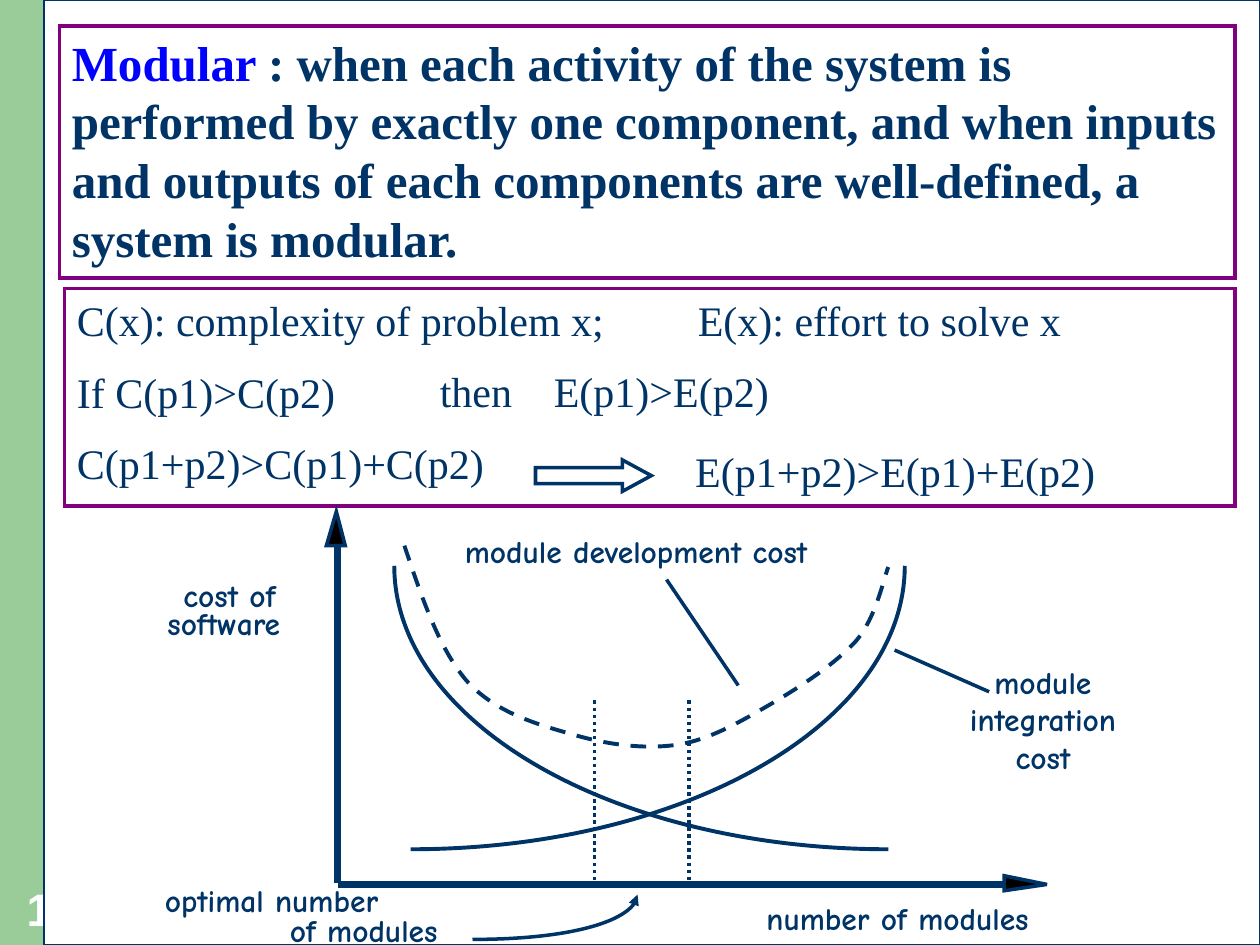
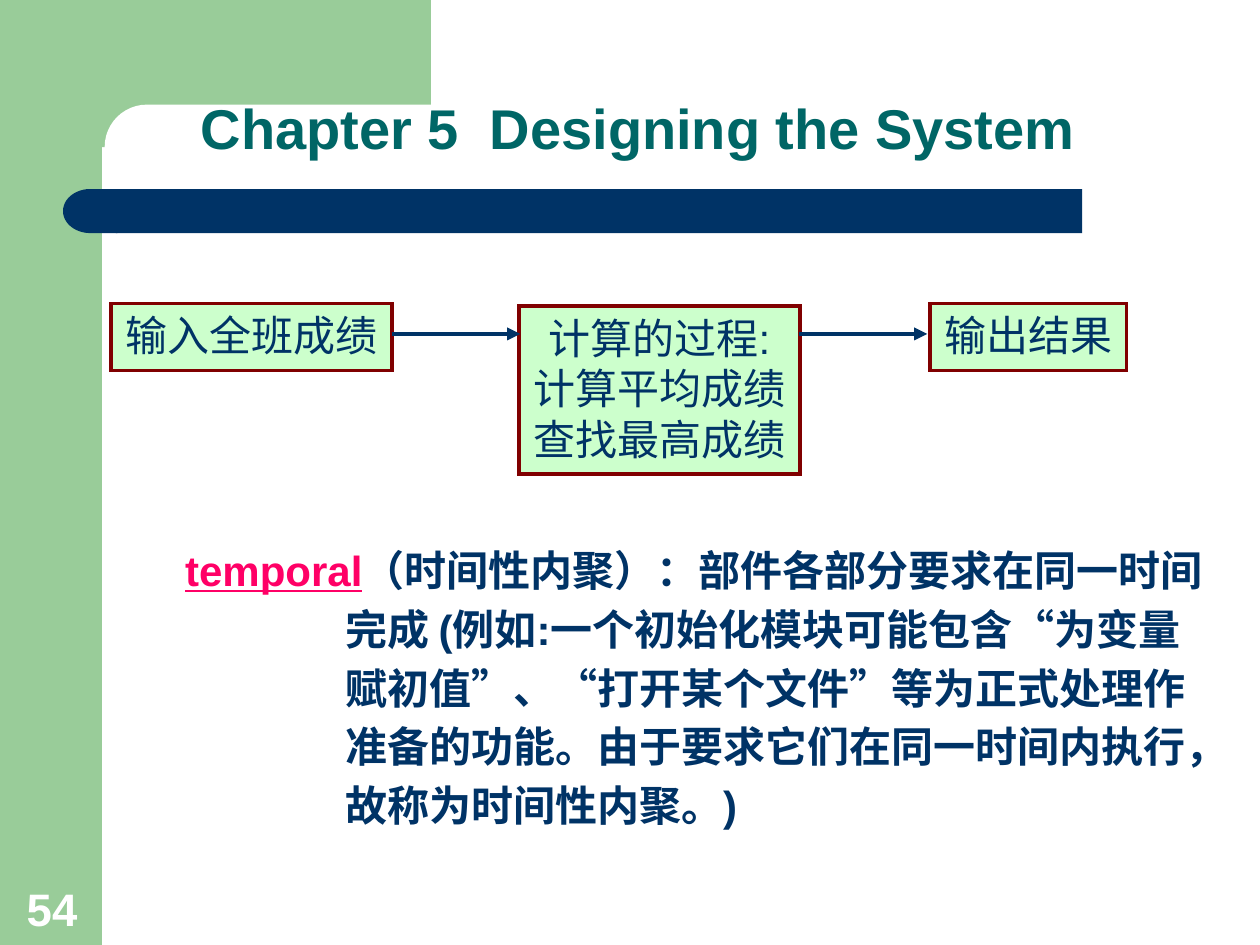
from dataclasses import dataclass
from itertools import groupby
from typing import Any, NamedTuple, Optional

from lxml import etree
from pptx import Presentation, util as u
from pptx.dml import color
from pptx.enum import dml, shapes, text
from pptx.oxml import ns

Pt = u.Pt
Point = tuple[float, float]
PRESET = shapes.MSO_SHAPE
ALIGN = text.PP_ALIGN

COLORS = {
    "white": "FFFFFF", "black": "000000", "navy": "003366", "green": "99CC99",
    "mint": "CCFFCC", "maroon": "800000", "purple": "800080",
    "teal": "006666", "blue": "0000FF", "pink": "FF0066",
}

# Font formats; "ink" is a key of COLORS, the rest are font attributes
NUMBER = {"name": "Arial", "size": Pt(26), "bold": True, "ink": "white"}
TITLE = {"name": "Arial", "size": Pt(32), "bold": True, "ink": "teal"}
DEFINITION = {"name": "Times New Roman", "size": Pt(28), "bold": True, "ink": "navy"}
FORMULA = {"name": "Times New Roman", "size": Pt(24), "ink": "navy"}
LABEL = {"name": "Comic Neue", "size": Pt(18), "bold": True, "ink": "navy"}
STEP = {"name": "Arial", "size": Pt(24), "ink": "navy"}
BODY = STEP | {"bold": True}
TERM = BODY | {"ink": "pink", "underline": True}


class Area(NamedTuple):
    left: float
    top: float
    width: float
    height: float

    def lengths(self) -> list[int]:
        return [Pt(value) for value in self]


class Stroke(NamedTuple):
    ink: str = "navy"
    width: float = 2
    dash: Any = None
    arrow: bool = False


class Run(NamedTuple):
    text: str
    format: dict


@dataclass
class Paragraph:
    runs: list[Run]
    space_before: float = 0
    align: Any = ALIGN.LEFT
    margin: float = 0
    indent: float = 0
    line_spacing: Optional[float] = None


@dataclass
class Box:
    area: Area
    paragraphs: list[Paragraph]


@dataclass
class Line:
    start: Point
    end: Point
    stroke: Stroke = Stroke()


@dataclass
class Curve:
    """A start point followed by three points for each Bezier segment."""
    points: list[Point]
    stroke: Stroke


def rgb(name: str) -> color.RGBColor:
    return color.RGBColor.from_string(COLORS[name])


def plain(lines: list[str], font_format: dict, **options: Any) -> list[Paragraph]:
    return [Paragraph([Run(line, font_format)], **options) for line in lines]


# Text
def apply_format(font: Any, font_format: dict) -> None:
    for name, value in font_format.items():
        if name == "ink":
            font.color.rgb = rgb(value)
        else:
            setattr(font, name, value)


def write(shape: Any, paragraphs: list[Paragraph], wrap: bool = True,
          anchor: Any = text.MSO_ANCHOR.TOP) -> None:
    frame = shape.text_frame
    settings = {"word_wrap": wrap, "vertical_anchor": anchor,
                "auto_size": text.MSO_AUTO_SIZE.NONE}
    for name, value in settings.items():
        setattr(frame, name, value)
    for index, item in enumerate(paragraphs):
        paragraph = frame.add_paragraph() if index else frame.paragraphs[0]
        properties = paragraph._p.get_or_add_pPr()
        properties.set("marL", str(Pt(item.margin)))
        properties.set("indent", str(Pt(item.indent)))
        etree.SubElement(properties, ns.qn("a:buNone"))
        paragraph.alignment = item.align
        paragraph.space_before = Pt(item.space_before if index else 0)
        if item.line_spacing:
            paragraph.line_spacing = item.line_spacing
        for part in item.runs:
            run = paragraph.add_run()
            run.text = part.text
            apply_format(run.font, part.format)


def add_text(slide: Any, box: Box, **options: Any) -> None:
    write(slide.shapes.add_textbox(*box.area.lengths()), box.paragraphs, **options)


# Shapes and lines
def apply_stroke(shape: Any, stroke: Stroke) -> None:
    shape.line.color.rgb = rgb(stroke.ink)
    shape.line.width = Pt(stroke.width)
    if stroke.dash is not None:
        shape.line.dash_style = stroke.dash
    outline = shape.element.spPr.find(ns.qn("a:ln"))
    etree.SubElement(outline, ns.qn("a:miter"), lim="800000")
    if stroke.arrow:
        etree.SubElement(outline, ns.qn("a:tailEnd"), type="triangle")


def paint(shape: Any, fill: Optional[str], stroke: Optional[Stroke]) -> None:
    shape.shadow.inherit = False
    if fill:
        shape.fill.solid()
        shape.fill.fore_color.rgb = rgb(fill)
    else:
        shape.fill.background()
    if stroke:
        apply_stroke(shape, stroke)
    else:
        shape.line.fill.background()


def add_preset(slide: Any, area: Area, fill: Optional[str] = None,
               stroke: Optional[Stroke] = None, preset: Any = PRESET.RECTANGLE,
               adjustments: tuple[float, ...] = ()) -> Any:
    shape = slide.shapes.add_shape(preset, *area.lengths())
    for index, value in enumerate(adjustments):
        shape.adjustments[index] = value
    paint(shape, fill, stroke)
    return shape


def add_line(slide: Any, line: Line) -> None:
    ends = [Pt(value) for value in line.start + line.end]
    connector = slide.shapes.add_connector(shapes.MSO_CONNECTOR.STRAIGHT, *ends)
    apply_stroke(connector, line.stroke)
    etree.SubElement(connector.element.spPr, ns.qn("a:effectLst"))


def add_outline(slide: Any, points: list[Point], fill: Optional[str],
                stroke: Stroke, close: bool) -> Any:
    start, *rest = [(Pt(x), Pt(y)) for x, y in points]
    builder = slide.shapes.build_freeform(*start)
    builder.add_line_segments(rest, close=close)
    shape = builder.convert_to_shape()
    paint(shape, fill, stroke)
    return shape


def add_curve(slide: Any, curve: Curve) -> None:
    """Draw the control polygon, then join each three segments into a Bezier."""
    shape = add_outline(slide, curve.points, None, curve.stroke, close=False)
    segments = list(shape.element.iter(ns.qn("a:lnTo")))
    outline = segments[0].getparent()
    for first in range(0, len(segments), 3):
        bezier = etree.SubElement(outline, ns.qn("a:cubicBezTo"))
        for segment in segments[first:first + 3]:
            bezier.append(segment[0])
            outline.remove(segment)


# Shared side band, top tab and page number
def add_frame(slide: Any, number: str) -> None:
    for area in (Area(0, 0, 58.3, 540), Area(52.6, 0, 193.7, 84.2)):
        add_preset(slide, area, "green")
    add_text(slide, Box(Area(8.2, 499.7, 46, 38.2), plain([number], NUMBER)),
             anchor=text.MSO_ANCHOR.BOTTOM)


def add_header(slide: Any) -> None:
    add_preset(slide, Area(59.8, 59.8, 401.8, 48.2), "white",
               preset=PRESET.ROUNDED_RECTANGLE, adjustments=(0.5,))
    add_preset(slide, Area(66.2, 108, 552.2, 25.2), "navy")
    cap = add_preset(slide, Area(36, 108, 31, 25.2), "navy", preset=PRESET.FLOWCHART_DELAY)
    cap.rotation = 180


# Slide with the modularity definition and cost diagram
def build_modularity(presentation: Any) -> None:
    slide = presentation.slides.add_slide(presentation.slide_layouts[6])
    add_frame(slide, "14")
    add_preset(slide, Area(25.2, 0, 694.8, 540), "white", Stroke(width=0.75))

    definition = Paragraph([
        Run("Modular ", DEFINITION | {"ink": "blue"}),
        Run(": when each activity of the system is performed by exactly one component, "
            "and when inputs and outputs of each components are well-defined, "
            "a system is modular.", DEFINITION)])
    conditions = plain(["C(x): complexity of problem x;", "If C(p1)>C(p2)",
                        "C(p1+p2)>C(p1)+C(p2)"], FORMULA, space_before=12)
    for box in (Box(Area(34, 14.8, 671.8, 144), [definition]),
                Box(Area(36.9, 164.9, 668.9, 124.4), conditions)):
        write(add_preset(slide, box.area, stroke=Stroke("purple")), box.paragraphs)
    for formula, left, top, width in (
            ("E(x): effort to solve x", 391.7, 165, 264), ("then", 244.2, 205.5, 62),
            ("E(p1)>E(p2)", 309.4, 205.5, 180), ("E(p1+p2)>E(p1)+E(p2)", 390.2, 251.3, 264)):
        add_text(slide, Box(Area(left, top, width, 36), plain([formula], FORMULA)))
    add_preset(slide, Area(306, 262.8, 66.2, 18), stroke=Stroke(),
               preset=PRESET.RIGHT_ARROW, adjustments=(0.5, 0.92))

    # Axes, optimum limits and leader lines
    axis = Stroke(width=4)
    limit = Stroke(dash=dml.MSO_LINE.ROUND_DOT)
    lines = [Line((193, 505.4), (573, 505.4), axis), Line((193, 504.7), (193, 310.3), axis),
             Line((380.9, 331.2), (421.9, 391.7)), Line((565.2, 395.3), (511.2, 371.5))]
    lines += [Line((x, 400.3), (x, 502.6), limit) for x in (339.8, 393.8)]
    for line in lines:
        add_line(slide, line)
    for arrowhead in ([(598.3, 505.4), (573.8, 509), (573.8, 500.4)],
                      [(192.2, 292.3), (197.3, 311.8), (186.5, 311.8)]):
        add_outline(slide, arrowhead, "black", Stroke(), close=True)

    # Cost curves: the falling one mirrors the rising one
    rising = [(234.7, 485.3), (391, 485.3), (517, 413.3), (517, 323.3)]
    falling = [(742.3 - x, y) for x, y in rising]
    total = [(231.1, 311.8), (241.2, 342), (251.3, 371.5), (267.1, 389.5),
             (283.7, 407.5), (307.4, 414), (327.6, 419.8),
             (347, 425.5), (368.6, 428.4), (387.4, 425.5),
             (406.1, 422.6), (424.1, 411.8), (441.4, 401.8),
             (458.6, 391.7), (478.1, 378.7), (489.6, 365.8),
             (500.4, 352.8), (504.7, 331.9), (507.6, 324)]
    pointer = [(270, 536.8), (321.8, 536.8), (364.3, 525.6), (364.3, 511.2)]
    for curve in (Curve(rising, Stroke(width=2.25)), Curve(falling, Stroke(width=2.25)),
                  Curve(total, Stroke(width=2.25, dash=dml.MSO_LINE.DASH)),
                  Curve(pointer, Stroke(arrow=True))):
        add_curve(slide, curve)

    # Diagram labels
    for label, left, top, width in (
            ("cost of", 97.7, 325.8, 85), ("software", 88.6, 341.8, 95),
            ("module development cost", 258.6, 300.6, 238),
            ("number of modules", 430.9, 510, 178),
            ("optimal number", 87.1, 500, 146), ("of modules", 158.5, 517, 112)):
        add_text(slide, Box(Area(left, top, width, 28.8), plain([label], LABEL)))
    add_text(slide, Box(Area(542, 375.1, 108, 72),
                        plain(["module", "integration", "cost"], LABEL, align=ALIGN.CENTER)))


# Slide with temporal cohesion
def quoted_runs(line: str) -> list[Run]:
    """Set the curly quotes in the serif font."""
    return [Run("".join(group), BODY | {"name": "Times New Roman"} if is_quote else BODY)
            for is_quote, group in groupby(line, lambda letter: letter in "“”")]


def build_cohesion(presentation: Any) -> None:
    slide = presentation.slides.add_slide(presentation.slide_layouts[1])
    add_frame(slide, "54")
    add_header(slide)

    title, body = slide.shapes.title, slide.placeholders[1]
    for placeholder, area in ((title, Area(107.5, 29.7, 593, 66.2)),
                              (body, Area(98.6, 307.5, 618, 182))):
        for name, value in zip(Area._fields, area.lengths()):
            setattr(placeholder, name, value)
        placeholder.element.getparent().append(placeholder.element)
    write(title, plain(["Chapter 5  Designing the System"], TITLE, line_spacing=0.9),
          anchor=text.MSO_ANCHOR.BOTTOM)

    hang = 91.4
    lines = ["完成 (例如:一个初始化模块可能包含“为变量",
             "赋初值”、“打开某个文件”等为正式处理作",
             "准备的功能。由于要求它们在同一时间内执行，",
             "故称为时间性内聚。)"]
    opening = [Run("temporal", TERM), Run("（时间性内聚）：部件各部分要求在同一时间", BODY)]
    write(body, [Paragraph(opening, margin=hang, indent=-hang)] + [
        Paragraph(quoted_runs(line), margin=hang, space_before=4.8) for line in lines])

    # Process steps and the arrows between them
    for area, step in ((Area(63.4, 173.5, 160.6, 38.2), ["输入全班成绩"]),
                       (Area(296.6, 175, 160.6, 95.8),
                        ["计算的过程:", "计算平均成绩", "查找最高成绩"]),
                       (Area(531.4, 173.5, 112.3, 38.2), ["输出结果"])):
        write(add_preset(slide, area, "mint", Stroke("maroon")),
              plain(step, STEP, align=ALIGN.CENTER), wrap=False)
    for left in (223.9, 456.5):
        add_line(slide, Line((left, 190.8), (left + 73.4, 190.8), Stroke(width=2.5, arrow=True)))


def main() -> None:
    presentation = Presentation()
    presentation.slide_width, presentation.slide_height = Pt(720), Pt(540)
    build_modularity(presentation)
    build_cohesion(presentation)
    presentation.save("out.pptx")


if __name__ == "__main__":
    main()
